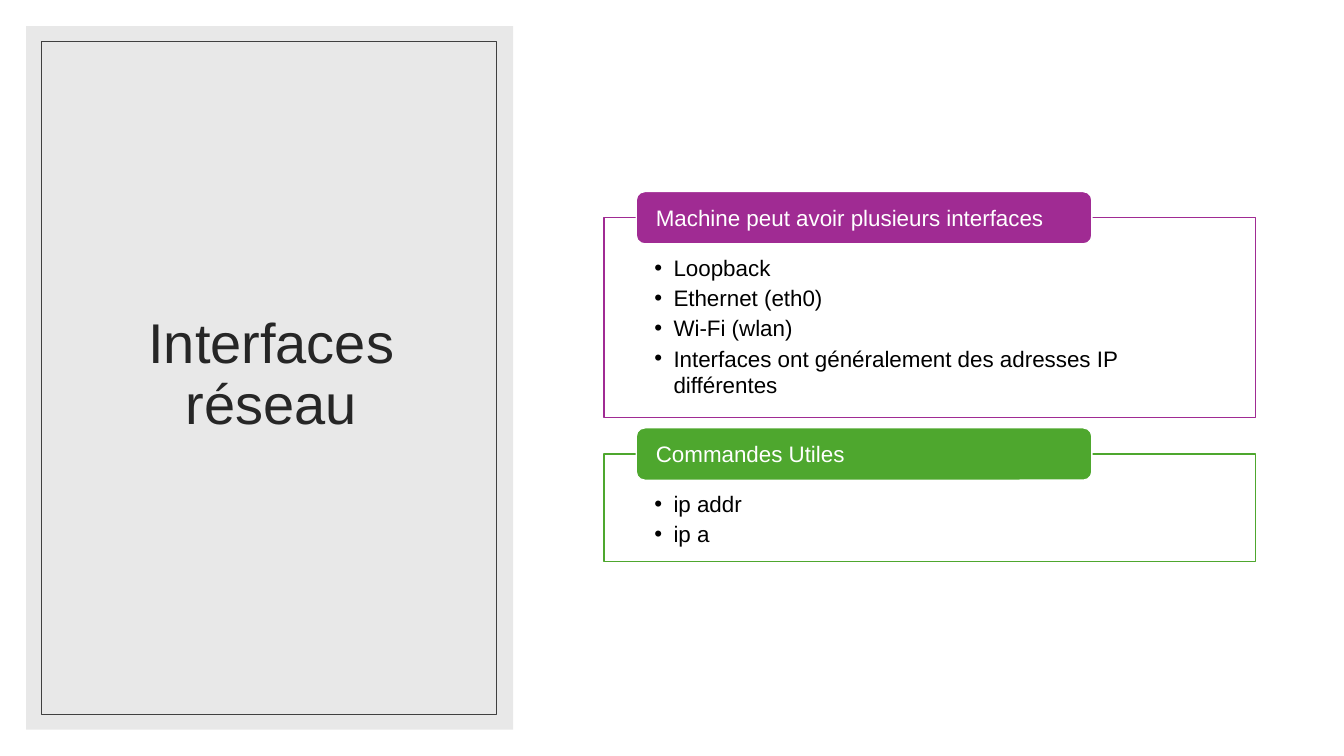
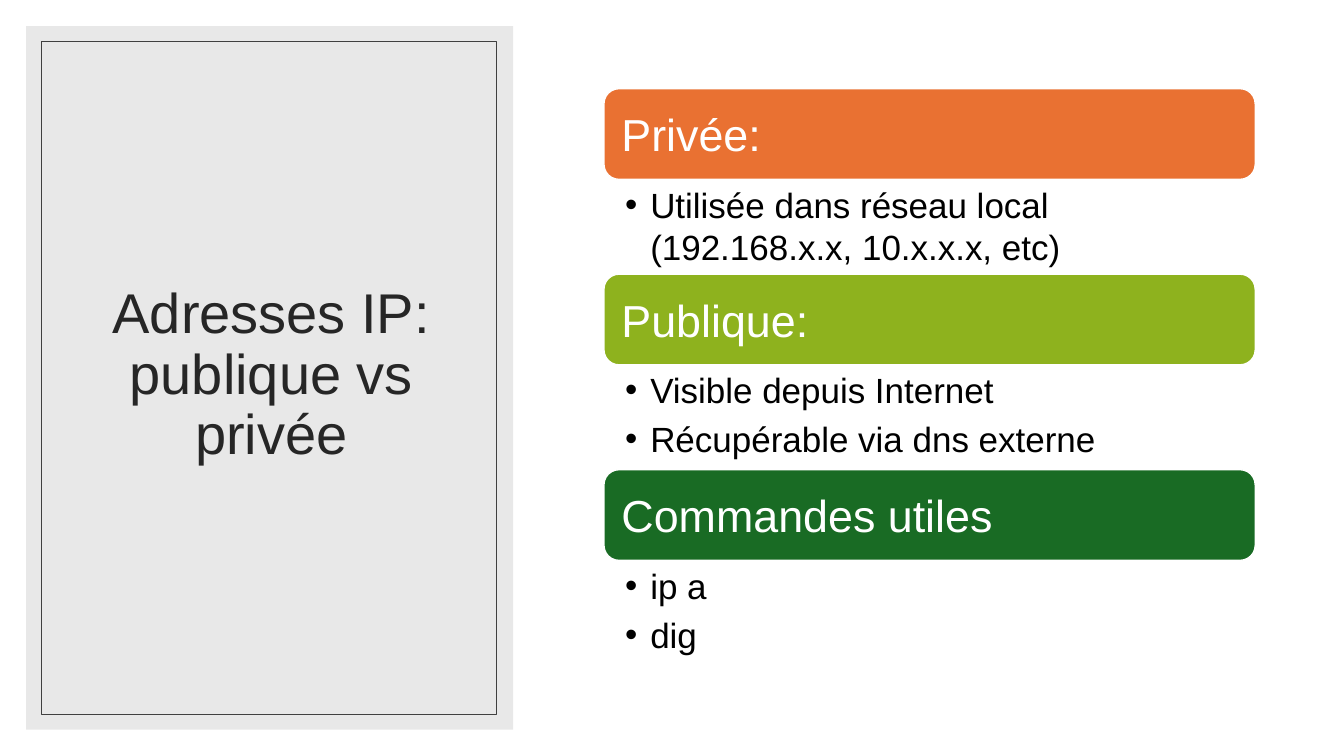
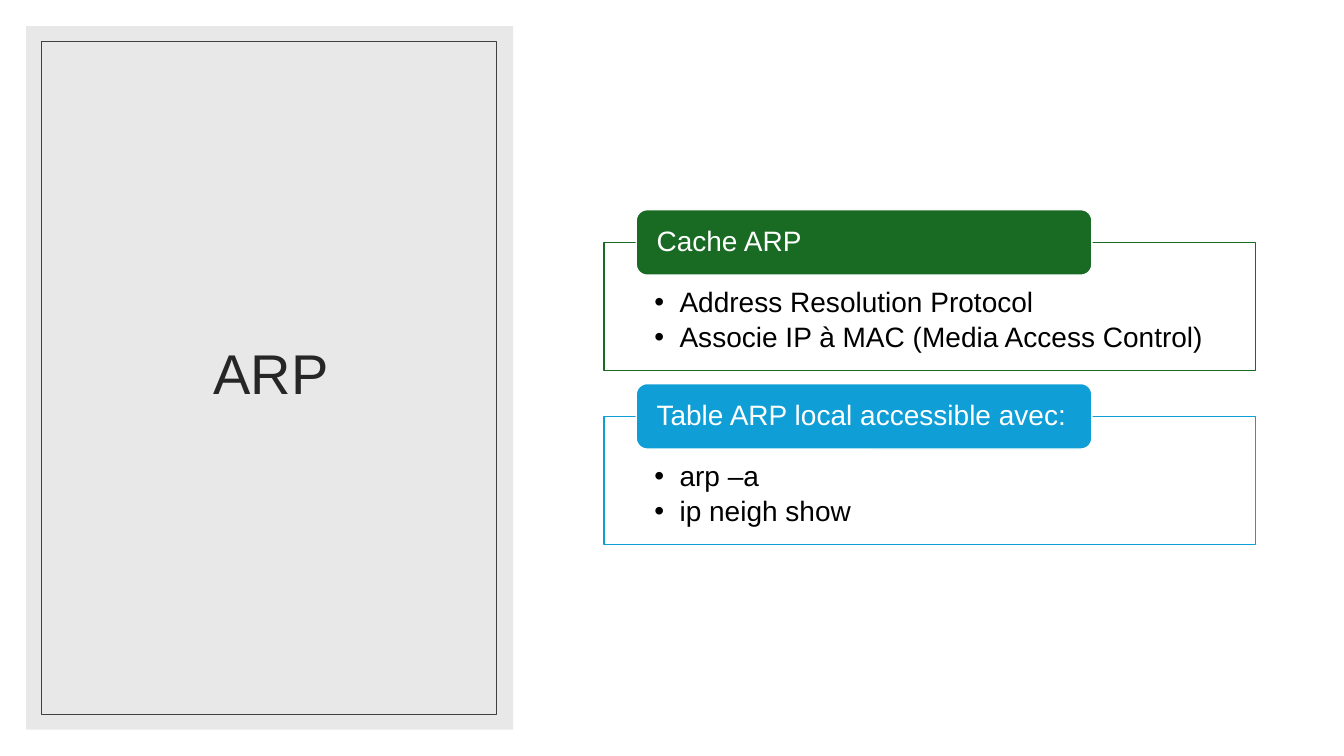
"""Build three slides on network interfaces, IP addresses and ARP."""
import pptx
import pptx.dml.color
import pptx.enum.shapes
import pptx.enum.text
import pptx.util
from lxml import etree
from pptx.oxml.ns import qn

Inches = pptx.util.Inches
Pt = pptx.util.Pt
RGBColor = pptx.dml.color.RGBColor
SHAPE = pptx.enum.shapes.MSO_SHAPE
ANCHOR = pptx.enum.text.MSO_ANCHOR
ALIGN = pptx.enum.text.PP_ALIGN

FONT = "Arial"
WHITE = RGBColor(0xFF, 0xFF, 0xFF)
BLACK = RGBColor(0x00, 0x00, 0x00)
PANEL_GREY = RGBColor(0xE8, 0xE8, 0xE8)
BORDER_GREY = RGBColor(0x40, 0x40, 0x40)
TITLE_GREY = RGBColor(0x26, 0x26, 0x26)
PURPLE = RGBColor(0xA0, 0x2B, 0x93)
GREEN = RGBColor(0x4E, 0xA7, 0x2E)
ORANGE = RGBColor(0xE9, 0x71, 0x32)
LIME = RGBColor(0x8E, 0xB2, 0x1E)
DARK_GREEN = RGBColor(0x19, 0x6B, 0x24)
BLUE = RGBColor(0x0F, 0x9E, 0xD5)

CONTENT_LEFT, CONTENT_WIDTH = 5.99, 6.46
TAB_LEFT, TAB_WIDTH = 6.31, 4.52

SLIDES = [
    {
        "title": "Interfaces réseau",
        "kind": "framed",
        "top": 1.9,
        "header_height": 0.52,
        "size": 16,
        "indent": 0.19,
        "line_spacing": 1.0,
        "insets": (0.5, 0.36, 0.5, 0.12),
        "sections": [
            ("Machine peut avoir plusieurs interfaces", PURPLE, 1.98,
             ["Loopback", "Ethernet (eth0)", "Wi-Fi (wlan)",
              "Interfaces ont généralement des adresses IP différentes"]),
            ("Commandes Utiles", GREEN, 1.07, ["ip addr", "ip a"]),
        ],
    },
    {
        "title": "Adresses IP: publique vs privée",
        "kind": "stacked",
        "top": 0.88,
        "sections": [
            ("Privée:", ORANGE, 0.94,
             ["Utilisée dans réseau local (192.168.x.x, 10.x.x.x, etc)"]),
            ("Publique:", LIME, 1.04,
             ["Visible depuis Internet", "Récupérable via dns externe"]),
            ("Commandes utiles", DARK_GREEN, 1.04, ["ip a", "dig"]),
        ],
    },
    {
        "title": "ARP",
        "kind": "framed",
        "top": 2.08,
        "header_height": 0.65,
        "size": 20,
        "indent": 0.25,
        "line_spacing": 0.9,
        "insets": (0.5, 0.46, 0.5, 0.16),
        "sections": [
            ("Cache ARP", DARK_GREEN, 1.27,
             ["Address Resolution Protocol",
              "Associe IP à MAC (Media Access Control)"]),
            ("Table ARP local accessible avec:", BLUE, 1.27,
             ["arp –a", "ip neigh show"]),
        ],
    },
]


def add_box(slide, preset, left, top, width, height, fill=None, line=None, weight=1):
    """Add a preset shape with an optional fill and outline."""
    shape = slide.shapes.add_shape(
        preset, Inches(left), Inches(top), Inches(width), Inches(height))
    shape.shadow.inherit = False
    if fill is None:
        shape.fill.background()
    else:
        shape.fill.solid()
        shape.fill.fore_color.rgb = fill
    if line is None:
        shape.line.fill.background()
    else:
        shape.line.color.rgb = line
        shape.line.width = Pt(weight)
    return shape


def write_text(shape, lines, size, color, align=ALIGN.LEFT, anchor=ANCHOR.MIDDLE,
               insets=(0.1, 0.05, 0.1, 0.05), line_spacing=1.0, space_after=0, indent=0):
    """Write one paragraph per line, bulleted when an indent is given."""
    frame = shape.text_frame
    frame.word_wrap = True
    frame.vertical_anchor = anchor
    (frame.margin_left, frame.margin_top,
     frame.margin_right, frame.margin_bottom) = map(Inches, insets)
    for index, line in enumerate(lines):
        paragraph = frame.add_paragraph() if index else frame.paragraphs[0]
        paragraph.alignment = align
        paragraph.line_spacing = line_spacing
        paragraph.space_after = Pt(space_after)
        if indent:
            properties = paragraph._p.get_or_add_pPr()
            properties.set("marL", str(Inches(indent)))
            properties.set("indent", str(-Inches(indent)))
            etree.SubElement(properties, qn("a:buFont")).set("typeface", FONT)
            etree.SubElement(properties, qn("a:buChar")).set("char", "•")
        run = paragraph.add_run()
        run.text = line
        run.font.name = FONT
        run.font.size = Pt(size)
        run.font.color.rgb = color


def add_title_panel(slide, title):
    """Draw the grey panel with its inner border and the title."""
    add_box(slide, SHAPE.RECTANGLE, 0.26, 0.26, 4.83, 6.98, fill=PANEL_GREY)
    title_box = slide.shapes.add_textbox(
        Inches(0.63), Inches(0.61), Inches(4.12), Inches(6.24))
    write_text(title_box, [title], 40, TITLE_GREY, align=ALIGN.CENTER, line_spacing=0.9)
    add_box(slide, SHAPE.RECTANGLE, 0.41, 0.41, 4.51, 6.68, line=BORDER_GREY, weight=0.5)


def add_framed_sections(slide, content):
    """Draw outlined lists, each with a tab centred on its top edge."""
    tab_top, tab_height = content["top"], content["header_height"]
    size, line_spacing = content["size"], content["line_spacing"]
    for heading, color, height, items in content["sections"]:
        frame_top = tab_top + tab_height / 2
        frame = add_box(slide, SHAPE.RECTANGLE, CONTENT_LEFT, frame_top,
                        CONTENT_WIDTH, height, fill=WHITE, line=color)
        write_text(frame, items, size, BLACK, anchor=ANCHOR.TOP,
                   insets=content["insets"], line_spacing=line_spacing,
                   space_after=0.15 * size, indent=content["indent"])
        tab = add_box(slide, SHAPE.ROUNDED_RECTANGLE, TAB_LEFT, tab_top,
                      TAB_WIDTH, tab_height, fill=color, line=WHITE)
        write_text(tab, [heading], size, WHITE, insets=(0.17, 0, 0.17, 0),
                   line_spacing=line_spacing)
        tab_top = frame_top + height + 0.2 * tab_height


def add_stacked_sections(slide, content):
    """Draw full-width headings, each followed by its list."""
    top, heading_height, size = content["top"], 0.9, 25
    for heading, color, height, items in content["sections"]:
        bar = add_box(slide, SHAPE.ROUNDED_RECTANGLE, CONTENT_LEFT, top,
                      CONTENT_WIDTH, heading_height, fill=color, line=WHITE)
        write_text(bar, [heading], 32, WHITE, insets=(0.13,) * 4)
        top += heading_height
        body = slide.shapes.add_textbox(
            Inches(CONTENT_LEFT), Inches(top), Inches(CONTENT_WIDTH), Inches(height))
        write_text(body, items, size, BLACK, anchor=ANCHOR.TOP,
                   insets=(0.21, 0.04, 0.25, 0.04), space_after=0.2 * size, indent=0.25)
        top += height


def main():
    """Build and save the presentation."""
    presentation = pptx.Presentation()
    presentation.slide_width = Inches(13.33)
    presentation.slide_height = Inches(7.5)
    builders = {"framed": add_framed_sections, "stacked": add_stacked_sections}
    for content in SLIDES:
        slide = presentation.slides.add_slide(presentation.slide_layouts[6])
        add_title_panel(slide, content["title"])
        builders[content["kind"]](slide, content)
    presentation.save("out.pptx")


if __name__ == "__main__":
    main()
